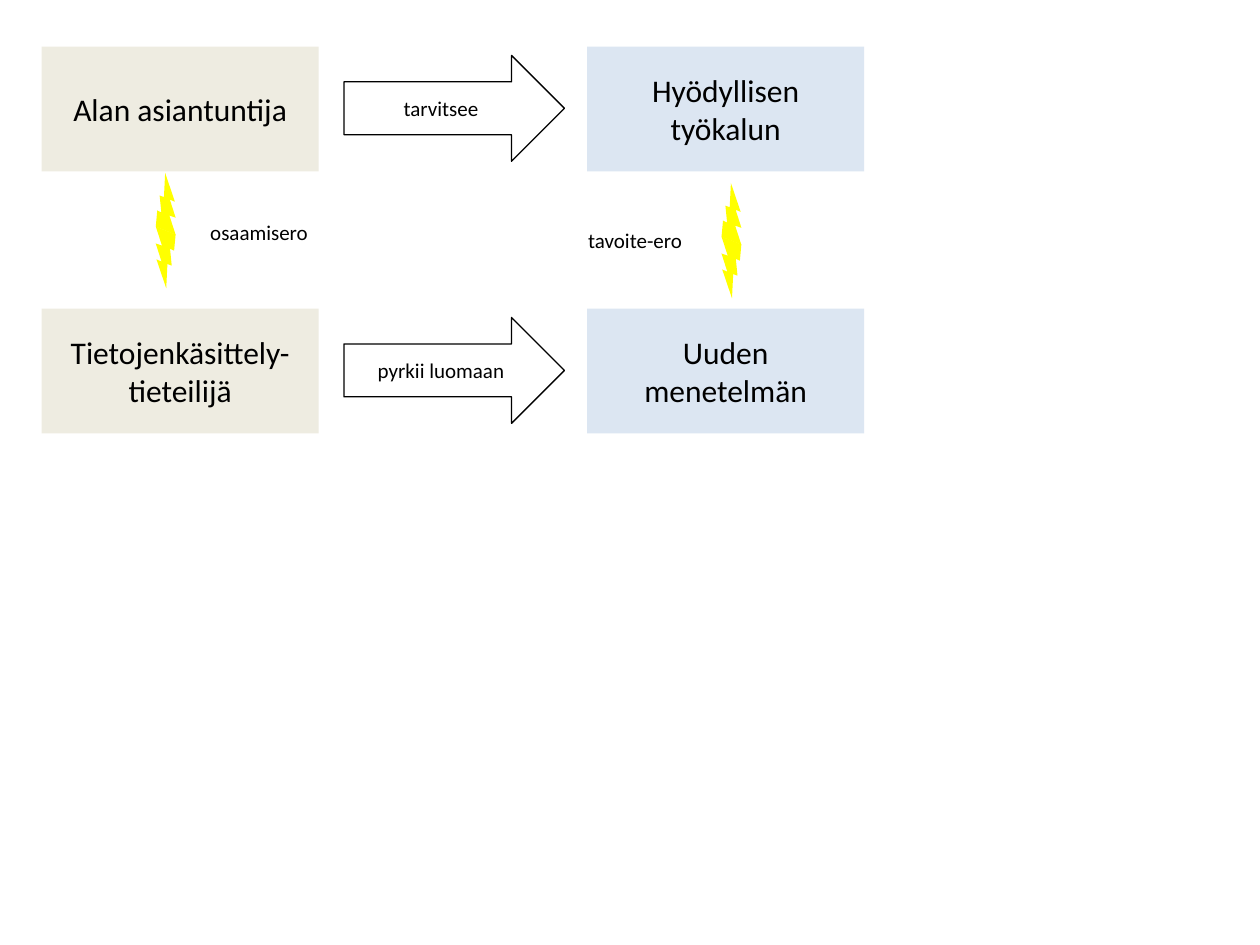
from pptx import Presentation
from pptx.dml.color import RGBColor
from pptx.enum.shapes import MSO_SHAPE
from pptx.enum.text import MSO_ANCHOR, MSO_AUTO_SIZE, PP_ALIGN
from pptx.util import Inches, Pt

RECT, ARROW, BOLT = MSO_SHAPE.RECTANGLE, MSO_SHAPE.RIGHT_ARROW, MSO_SHAPE.LIGHTNING_BOLT
CENTER, LEFT = PP_ALIGN.CENTER, PP_ALIGN.LEFT
MIDDLE, TOP = MSO_ANCHOR.MIDDLE, MSO_ANCHOR.TOP
GROW = MSO_AUTO_SIZE.SHAPE_TO_FIT_TEXT
COLORS = {"sand": "EEECE1", "sky": "DCE6F2", "bolt": "FFFF00", "ink": "000000"}
FIRST, STEP = 0.37, 2.08
ROWS = [
    ("Alan asiantuntija", "tarvitsee", "Hyödyllisen työkalun"),
    ("Tietojenkäsittely-tieteilijä", "pyrkii luomaan", "Uuden menetelmän"),
]


def color(name):
    """Return the named colour."""
    return RGBColor.from_string(COLORS[name])


def write(shape, text, size=12, align=CENTER, anchor=MIDDLE, wrap=True):
    """Put formatted text into a shape."""
    frame = shape.text_frame
    frame.word_wrap = wrap
    frame.vertical_anchor = anchor
    para = frame.paragraphs[0]
    para.alignment = align
    run = para.add_run()
    run.text = text
    run.font.size = Pt(size)
    run.font.name = "Calibri"
    run.font.color.rgb = color("ink")


def draw(shapes, kind, box, fill=None, line=None):
    """Add a preset shape with plain fill and line."""
    shape = shapes.add_shape(kind, *map(Inches, box))
    shape.shadow.inherit = False
    if fill:
        shape.fill.solid()
        shape.fill.fore_color.rgb = color(fill)
    else:
        shape.fill.background()
    if line:
        shape.line.color.rgb = color(line)
        shape.line.width = Pt(0.75)
    else:
        shape.line.fill.background()
    return shape


def clash(shapes, left, top):
    """Add a double lightning bolt as a group."""
    group = shapes.add_group_shape()
    for x, y, turn in ((left, top + 0.38, 44), (left + 0.03, top, 224)):
        bolt = draw(group.shapes, BOLT, (x, y, 0.4, 0.36), fill="bolt")
        bolt.rotation = turn


def label(shapes, text, box):
    """Add a free text label."""
    shape = shapes.add_textbox(*map(Inches, box))
    write(shape, text, align=LEFT, anchor=TOP, wrap=False)
    shape.text_frame.auto_size = GROW


def main():
    """Build the slide and save it."""
    deck = Presentation()
    deck.slide_width, deck.slide_height = Inches(10), Inches(7.5)
    shapes = deck.slides.add_slide(deck.slide_layouts[6]).shapes
    for index, (actor, verb, goal) in enumerate(ROWS):
        top = FIRST + index * STEP
        for text, left, fill in ((actor, 0.33, "sand"), (goal, 4.66, "sky")):
            write(draw(shapes, RECT, (left, top, 2.2, 0.99), fill=fill), text, size=18)
        write(draw(shapes, ARROW, (2.73, top + 0.07, 1.75, 0.84), line="ink"), verb)
    clash(shapes, 1.1, 1.46)
    clash(shapes, 5.59, 1.54)
    label(shapes, "osaamisero", (1.57, 1.69, 0.99, 0.3))
    label(shapes, "tavoite-ero", (4.57, 1.76, 0.97, 0.3))
    deck.save("out.pptx")


main()
